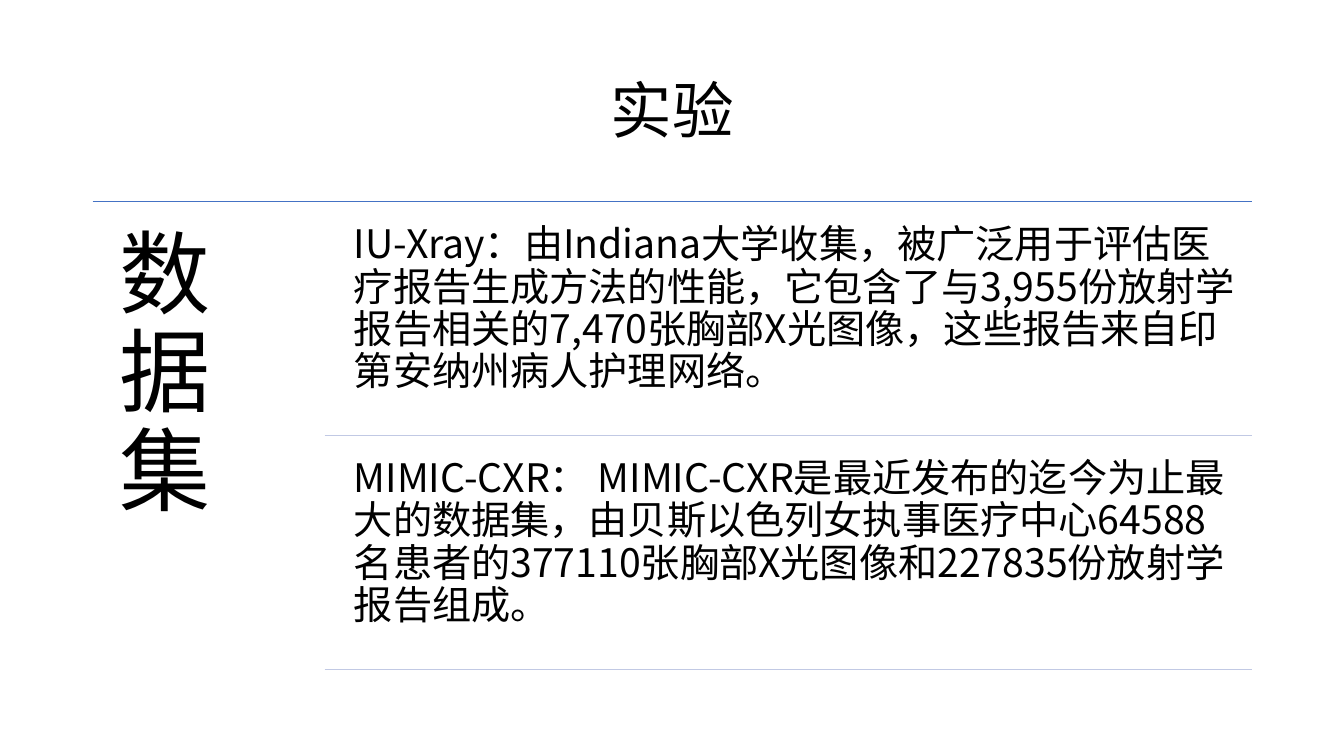
from dataclasses import dataclass

import pptx
import pptx.dml.color
import pptx.enum.shapes
import pptx.enum.text
import pptx.oxml
import pptx.oxml.ns
import pptx.util

FONT = "Noto Sans CJK SC"
TEXT = "000000"
HEADER_RULE = "4472C4"
ROW_RULE = "C1C9E4"

# Grid: five columns between the margins, two dataset rows
LEFT, TOP = 0.92, 2.0
COLUMN, ROW = 2.3, 2.32
RIGHT = LEFT + 5 * COLUMN
LABEL_RIGHT = LEFT + COLUMN
INDENT, GAP = 0.17, 0.11


@dataclass
class TextBlock:
    text: str
    left: float
    top: float
    width: float
    height: float
    size: float
    inset: float
    centred: bool = False


@dataclass
class Rule:
    left: float
    y: float
    color: str


def rgb(color: str) -> pptx.dml.color.RGBColor:
    return pptx.dml.color.RGBColor.from_string(color)


def draw_text(page, block: TextBlock) -> None:
    box = page.shapes.add_textbox(
        *map(pptx.util.Inches, (block.left, block.top, block.width, block.height)))
    frame = box.text_frame
    frame.word_wrap = True
    frame.margin_left = frame.margin_right = pptx.util.Inches(block.inset)
    frame.margin_top = frame.margin_bottom = pptx.util.Inches(block.inset)
    para = frame.paragraphs[0]
    para.line_spacing = 0.9
    if block.centred:
        frame.vertical_anchor = pptx.enum.text.MSO_ANCHOR.MIDDLE
        para.alignment = pptx.enum.text.PP_ALIGN.CENTER
    span = para.add_run()
    span.text = block.text
    span.font.size = pptx.util.Pt(block.size)
    span.font.color.rgb = rgb(TEXT)
    span.font.name = FONT
    # Chinese characters take the East Asian typeface
    east_asian = pptx.oxml.parse_xml(
        f'<a:ea {pptx.oxml.ns.nsdecls("a")} typeface="{FONT}"/>')
    span.font._element.append(east_asian)


def draw_rule(page, rule: Rule) -> None:
    line = page.shapes.add_connector(
        pptx.enum.shapes.MSO_CONNECTOR.STRAIGHT,
        *map(pptx.util.Inches, (rule.left, rule.y, RIGHT, rule.y)))
    line.line.color.rgb = rgb(rule.color)
    line.line.width = pptx.util.Pt(1)
    line._element.spPr.append(
        pptx.oxml.parse_xml(f'<a:effectLst {pptx.oxml.ns.nsdecls("a")}/>'))


DATASETS = [
    "IU-Xray：由Indiana大学收集，被广泛用于评估医疗报告生成方法的性能，"
    "它包含了与3,955份放射学报告相关的7,470张胸部X光图像，"
    "这些报告来自印第安纳州病人护理网络。",
    "MIMIC-CXR： MIMIC-CXR是最近发布的迄今为止最大的数据集，"
    "由贝斯以色列女执事医疗中心64588名患者的377110张胸部X光图像"
    "和227835份放射学报告组成。",
]


def main() -> None:
    deck = pptx.Presentation()
    deck.slide_width = pptx.util.Inches(13.33)
    deck.slide_height = pptx.util.Inches(7.5)
    page = deck.slides.add_slide(deck.slide_layouts[6])

    # Title
    draw_text(page, TextBlock("实验", LEFT, 0.4, RIGHT - LEFT, 1.45, 44, 0.1, centred=True))

    # Header rule and section label
    draw_rule(page, Rule(LEFT, TOP, HEADER_RULE))
    draw_text(page, TextBlock("数据集", LEFT, TOP, COLUMN, 4.76, 65, 0.27))

    # Dataset rows, each closed by a rule
    text_left = LABEL_RIGHT + INDENT
    for index, description in enumerate(DATASETS):
        row_top = TOP + index * ROW
        draw_text(page, TextBlock(description, text_left, row_top + GAP,
                                  RIGHT - text_left, ROW - GAP, 28, 0.12))
        draw_rule(page, Rule(LABEL_RIGHT, row_top + ROW, ROW_RULE))

    deck.save("out.pptx")


if __name__ == "__main__":
    main()
